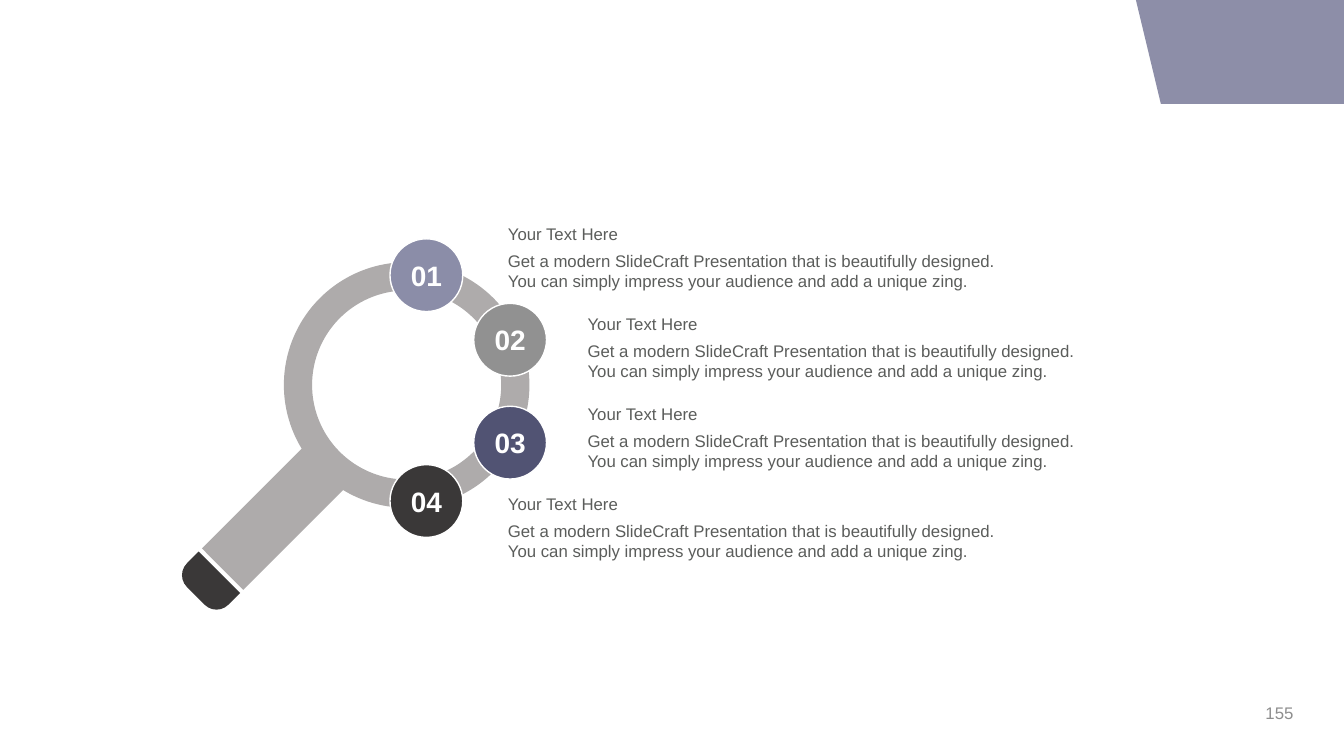
from math import sqrt

from pptx import Presentation
from pptx.dml.color import RGBColor
from pptx.enum.shapes import MSO_SHAPE as Shape
from pptx.enum.text import MSO_ANCHOR as Anchor, PP_ALIGN as Align
from pptx.util import Pt

WHITE = RGBColor(0xFF, 0xFF, 0xFF)
CORNER_LAVENDER = RGBColor(0x8D, 0x8E, 0xA8)
LENS_GRAY = RGBColor(0xAE, 0xAB, 0xAB)
LAVENDER = RGBColor(0x8B, 0x8D, 0xA8)
GRAY = RGBColor(0x91, 0x91, 0x91)
INDIGO = RGBColor(0x51, 0x53, 0x73)
CHARCOAL = RGBColor(0x3A, 0x38, 0x38)
TEXT_GRAY = RGBColor(0x5B, 0x5D, 0x5B)
PAGE_GRAY = RGBColor(0x8E, 0x8E, 0x8E)

SLIDE_WIDTH, SLIDE_HEIGHT = 960, 540
HEADING = "Your Text Here"
DESCRIPTION = (
    "Get a modern SlideCraft Presentation that is beautifully designed. "
    "You can simply impress your audience and add a unique zing."
)
BADGE_SIZE = 52
ENTRY_TOP, ENTRY_PITCH = 156.2, 64.3
ENTRIES = [
    ("01", LAVENDER, (278.6, 170.6), 355.7),
    ("02", GRAY, (338.4, 216.7), 412.6),
    ("03", INDIGO, (338.4, 290.2), 412.6),
    ("04", CHARCOAL, (278.6, 331.9), 355.7),
]


def paint(shape, fill):
    shape.shadow.inherit = False
    shape.fill.solid()
    shape.fill.fore_color.rgb = fill
    shape.line.fill.background()


def add_solid(slide, kind, left, top, width, height, fill):
    shape = slide.shapes.add_shape(kind, Pt(left), Pt(top), Pt(width), Pt(height))
    paint(shape, fill)
    return shape


def write(paragraph, text, size, color, bold=False, align=Align.LEFT):
    paragraph.alignment = align
    run = paragraph.add_run()
    run.text = text
    run.font.name = "Arial"
    run.font.size = Pt(size)
    run.font.bold = bold
    run.font.color.rgb = color


def add_label(slide, left, top, width, height, text, color,
              align=Align.LEFT, anchor=Anchor.TOP):
    frame = slide.shapes.add_textbox(
        Pt(left), Pt(top), Pt(width), Pt(height)).text_frame
    frame.word_wrap = True
    frame.vertical_anchor = anchor
    write(frame.paragraphs[0], text, 12, color, align=align)


def add_corner(slide, left, top, width, height):
    right, bottom = left + width, top + height
    builder = slide.shapes.build_freeform(Pt(right), Pt(top))
    builder.add_line_segments([
        (Pt(right), Pt(bottom)),
        (Pt(left + 0.12 * width), Pt(bottom)),
        (Pt(left), Pt(top)),
    ])
    paint(builder.convert_to_shape(), CORNER_LAVENDER)


def add_magnifier(slide, left, top, size):
    lens = add_solid(slide, Shape.DONUT, left, top, size, size, LENS_GRAY)
    lens.adjustments[0] = 0.115
    center_x, center_y = left + size / 2, top + size / 2
    grip_width = 41.8

    def add_grip_part(kind, start, end, fill, rotation):
        length = end - start
        offset = (start + end) / 2 / sqrt(2)
        part = add_solid(
            slide, kind,
            center_x - offset - grip_width / 2, center_y + offset - length / 2,
            grip_width, length, fill)
        part.rotation = rotation
        return part

    add_grip_part(Shape.RECTANGLE, 78, 186, LENS_GRAY, 45)
    cap = add_grip_part(Shape.ROUND_2_SAME_RECTANGLE, 189.2, 213, CHARCOAL, 225)
    cap.adjustments[0] = 0.5
    cap.adjustments[1] = 0


def add_badge(slide, left, top, size, number, fill):
    badge = add_solid(slide, Shape.OVAL, left, top, size, size, fill)
    badge.line.color.rgb = WHITE
    badge.line.width = Pt(1)
    frame = badge.text_frame
    frame.margin_left = frame.margin_right = 0
    frame.margin_top = frame.margin_bottom = 0
    frame.word_wrap = False
    frame.vertical_anchor = Anchor.MIDDLE
    write(frame.paragraphs[0], number, 20, WHITE, bold=True, align=Align.CENTER)


def add_entry(slide, left, top, width):
    add_label(slide, left, top, width, 21.8, HEADING, TEXT_GRAY)
    add_label(slide, left, top + 19.4, width, 36.3, DESCRIPTION, TEXT_GRAY)


def add_page_number(slide, left, top, width, height):
    add_label(slide, left, top, width, height, "155", PAGE_GRAY,
              Align.RIGHT, Anchor.MIDDLE)


def main():
    deck = Presentation()
    deck.slide_width, deck.slide_height = Pt(SLIDE_WIDTH), Pt(SLIDE_HEIGHT)
    slide = deck.slides.add_slide(deck.slide_layouts[6])

    add_corner(slide, 811.4, 0, SLIDE_WIDTH - 811.4, 74.2)
    add_page_number(slide, 715, 500.4, 216, 17.3)
    add_magnifier(slide, 202.8, 187.3, 175.4)
    for index, (number, fill, (badge_left, badge_top), text_left) in enumerate(ENTRIES):
        add_badge(slide, badge_left, badge_top, BADGE_SIZE, number, fill)
        add_entry(slide, text_left, ENTRY_TOP + index * ENTRY_PITCH, 385.2)

    deck.save("out.pptx")


if __name__ == "__main__":
    main()
